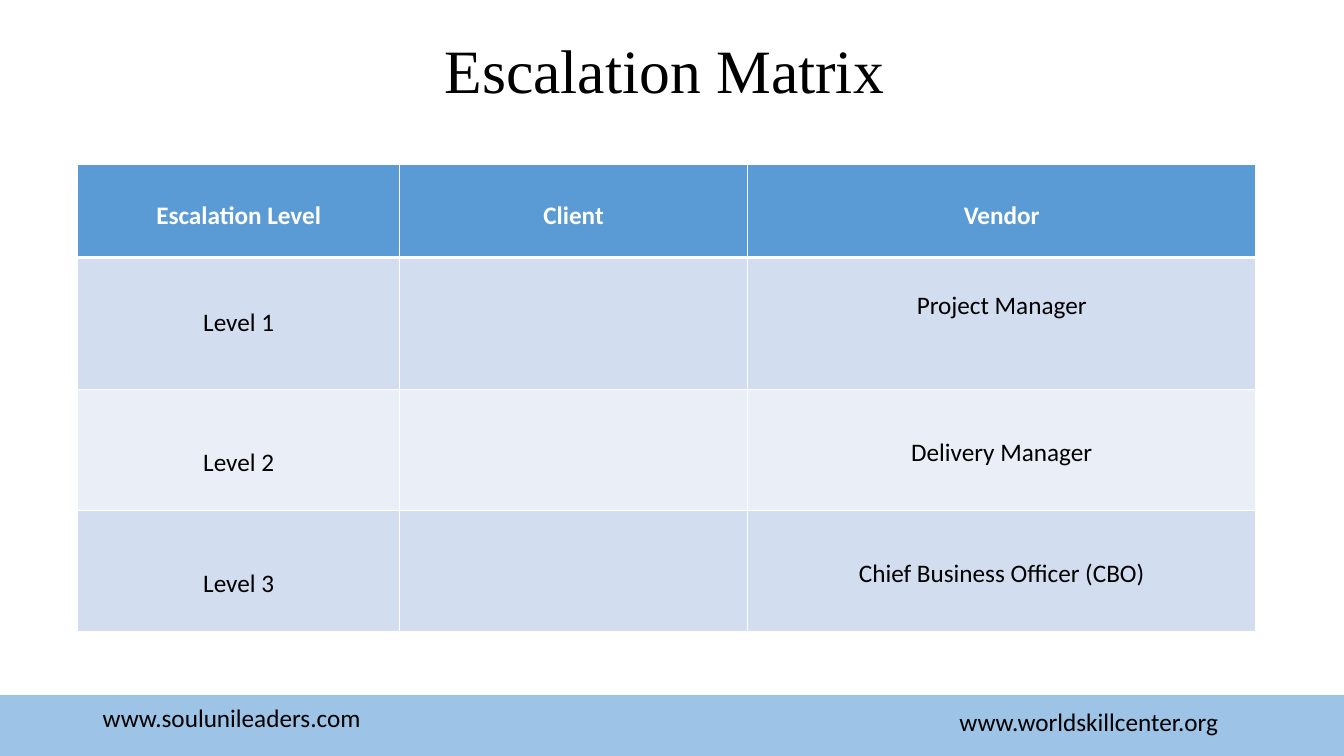
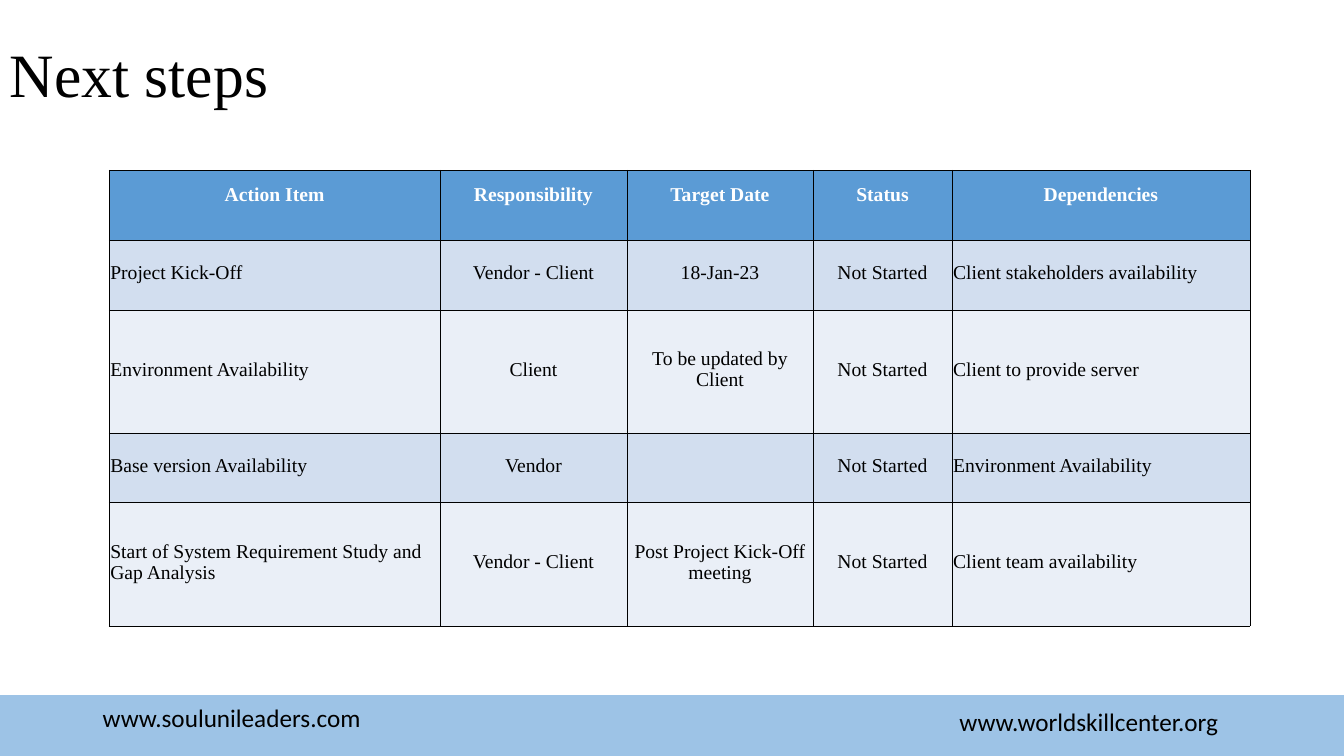
from lxml import etree
from pptx import Presentation
from pptx.dml.color import RGBColor
from pptx.enum.shapes import MSO_SHAPE
from pptx.enum.text import MSO_ANCHOR, PP_ALIGN
from pptx.oxml.ns import qn
from pptx.util import Cm, Pt

RECT = MSO_SHAPE.RECTANGLE
LEFT, CENTER = PP_ALIGN.LEFT, PP_ALIGN.CENTER
TOP, MIDDLE, BOTTOM = MSO_ANCHOR.TOP, MSO_ANCHOR.MIDDLE, MSO_ANCHOR.BOTTOM

BLACK = RGBColor(0x00, 0x00, 0x00)
WHITE = RGBColor(0xFF, 0xFF, 0xFF)
BAND = RGBColor(0x9D, 0xC3, 0xE6)
HEADER = RGBColor(0x5B, 0x9B, 0xD5)
ROW_FILLS = RGBColor(0xD2, 0xDE, 0xEF), RGBColor(0xEA, 0xEF, 0xF7)
SANS, SERIF = "Calibri", "Times New Roman"
SLIDE_W, SLIDE_H = 33.87, 19.05


def write(tf, text, font, size, color=BLACK, bold=False, align=LEFT, spacing=1.0):
    """Fill a text frame; line breaks in the text start new paragraphs."""
    tf.text = text
    for p in tf.paragraphs:
        p.alignment = align
        p.line_spacing = spacing
        for r in p.runs:
            r.font.name = font
            r.font.size = Pt(size)
            r.font.bold = bold
            r.font.color.rgb = color


def add_text(slide, box, text, font, size, anchor, **style):
    tf = slide.shapes.add_textbox(*map(Cm, box)).text_frame
    tf.word_wrap = True
    tf.vertical_anchor = anchor
    write(tf, text, font, size, **style)


def add_title(slide, box, text, align):
    add_text(slide, box, text, SERIF, 44, BOTTOM, align=align, spacing=0.9)


def add_footer(slide, top):
    band = slide.shapes.add_shape(RECT, 0, Cm(top), Cm(SLIDE_W), Cm(SLIDE_H - top))
    band.shadow.inherit = False
    band.fill.solid()
    band.fill.fore_color.rgb = BAND
    band.line.color.rgb = BAND
    band.line.width = Pt(1)
    for left, drop, address in ((2.34, 0.05, "www.soulunileaders.com"),
                                (23.93, 0.15, "www.worldskillcenter.org")):
        add_text(slide, (left, top + drop, 7.62, 1.02), address, SANS, 18, MIDDLE)


def set_borders(cell, color, **widths):
    """Draw the cell's edges; they must precede the fill in tcPr."""
    tc_pr = cell._tc.get_or_add_tcPr()
    for i, side in enumerate("LRTB"):
        ln = etree.Element(qn(f"a:ln{side}"), w=str(Pt(widths[side])))
        fill = etree.SubElement(ln, qn("a:solidFill"))
        etree.SubElement(fill, qn("a:srgbClr"), val=str(color))
        tc_pr.insert(i, ln)


def add_grid(slide, left, top, cols, rows, data, line_color, line, rule, style_cell):
    """Add a banded table; rule is the line width under the header row."""
    frame = slide.shapes.add_table(len(rows), len(cols), Cm(left), Cm(top),
                                   Cm(sum(cols)), Cm(sum(rows)))
    table = frame.table
    for column, width in zip(table.columns, cols):
        column.width = Cm(width)
    for i, (height, texts) in enumerate(zip(rows, data)):
        table.rows[i].height = Cm(height)
        for j, text in enumerate(texts):
            cell = table.cell(i, j)
            cell.fill.solid()
            cell.fill.fore_color.rgb = ROW_FILLS[(i - 1) % 2] if i else HEADER
            set_borders(cell, line_color, L=line, R=line,
                        T=rule if i == 1 else line, B=rule if i == 0 else line)
            style_cell(cell, i, j, text)


def escalation_slide(slide):
    add_title(slide, (0, 0.89, 33.5, 1.93), "Escalation Matrix", CENTER)
    data = (("Escalation Level", "Client", "Vendor"),
            ("Level 1", "", "Project Manager"),
            ("Level 2", "", "Delivery Manager"),
            ("Level 3", "", "Chief Business Officer (CBO)"))
    # Line spacing sets how low the text sits in each cell
    spacings = (2, 2, 2), (2.45, 1, 1.9), (2.7, 1, 2.4), (2.7, 1, 2.4)

    def style_cell(cell, i, j, text):
        write(cell.text_frame, text, SANS, 18, BLACK if i else WHITE,
              i == 0, CENTER, float(spacings[i][j]))

    add_grid(slide, 1.96, 4.15, (8.11, 8.77, 12.81), (2.34, 3.33, 3.05, 3.05),
             data, WHITE, 1, 3, style_cell)


def next_steps_slide(slide):
    add_title(slide, (0, 0.91, SLIDE_W, 2.01), "Next steps", LEFT)
    status = "Not Started"
    data = (("Action Item", "Responsibility", "Target Date", "Status", "Dependencies"),
            ("Project Kick-Off", "Vendor - Client", "18-Jan-23", status,
             "Client stakeholders availability"),
            ("Environment Availability", "Client", "To be updated by\nClient", status,
             "Client to provide server"),
            ("Base version Availability", "Vendor", "", status,
             "Environment Availability"),
            ("Start of System Requirement Study and Gap Analysis", "Vendor - Client",
             "Post Project Kick-Off meeting", status, "Client team availability"))

    def style_cell(cell, i, j, text):
        cell.margin_left = cell.margin_right = cell.margin_top = Cm(0.03)
        cell.margin_bottom = Cm(0.13)
        cell.vertical_anchor = MIDDLE if i else TOP
        align = LEFT if i and j in (0, 4) else CENTER
        write(cell.text_frame, text, SERIF, 14, BLACK if i else WHITE,
              i == 0, align, 1.0 if i else 1.6)

    add_grid(slide, 2.75, 4.29, (8.34, 4.71, 4.69, 3.5, 7.51),
             (1.76, 1.76, 3.1, 1.76, 3.1), data, BLACK, 0.5, 0.5, style_cell)


def main():
    prs = Presentation()
    prs.slide_width, prs.slide_height = Cm(SLIDE_W), Cm(SLIDE_H)
    for build in (escalation_slide, next_steps_slide):
        slide = prs.slides.add_slide(prs.slide_layouts[6])
        add_footer(slide, 17.53)
        build(slide)
    prs.save("out.pptx")


if __name__ == "__main__":
    main()
